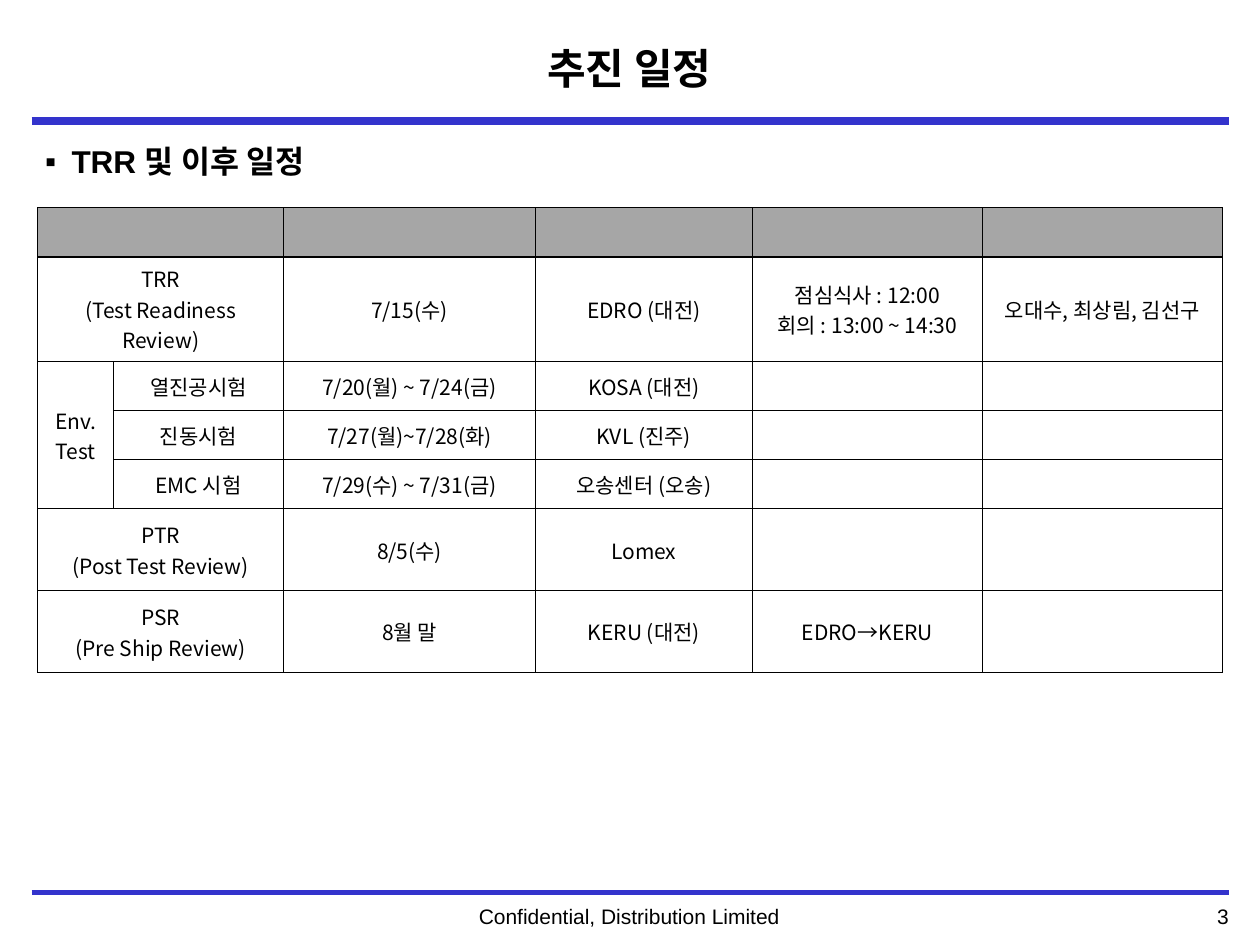
from lxml import etree
from pptx import Presentation
from pptx import util as u
from pptx.dml.color import RGBColor
from pptx.enum import shapes, text
from pptx.oxml.ns import qn

BLUE = RGBColor(0x33, 0x33, 0xCC)
BLACK = RGBColor(0, 0, 0)
GREY = RGBColor(0xA6, 0xA6, 0xA6)
KOREAN = "Noto Sans CJK KR"


def style(p, size, font, align, bold=False):
    p.alignment = align
    p.font.size = u.Pt(size)
    p.font.bold = bold
    p.font.color.rgb = BLACK
    p.font.name = font
    ea = etree.SubElement(p.font._element, qn("a:ea"))
    ea.set("typeface", KOREAN)


def add_text(s, box, words, size, font, align, bold=False):
    tf = s.shapes.add_textbox(*map(u.Inches, box)).text_frame
    tf.word_wrap = True
    p = tf.paragraphs[0]
    p.text = words
    style(p, size, font, align, bold)
    return tf


prs = Presentation()
prs.slide_width = u.Inches(10)
prs.slide_height = u.Inches(7.5)
s = prs.slides.add_slide(prs.slide_layouts[6])

for y, width in [(7.09, 2), (7.08, 2), (0.96, 4.5)]:
    sp = s.shapes.add_connector(shapes.MSO_CONNECTOR.STRAIGHT, u.Inches(0.25),
                                u.Inches(y), u.Inches(9.75), u.Inches(y))
    sp.line.color.rgb = BLUE
    sp.line.width = u.Pt(width)
    etree.SubElement(sp._element.spPr, qn("a:effectLst"))

LEFT, CENTER, RIGHT = text.PP_ALIGN.LEFT, text.PP_ALIGN.CENTER, text.PP_ALIGN.RIGHT
add_text(s, (8.23, 7.12, 1.62, 0.3), "3", 12, "Arial", RIGHT)
add_text(s, (2.45, 7.12, 5.09, 0.3), "Confidential, Distribution Limited", 12, "Arial", CENTER)
tf = add_text(s, (1.33, 0.15, 7.33, 0.77), "추진 일정", 24, KOREAN, CENTER, True)
tf.vertical_anchor = text.MSO_ANCHOR.MIDDLE

tf = add_text(s, (0.26, 1.08, 9.74, 5.68), "TRR 및 이후 일정", 18, "Arial", LEFT, True)
p = tf.paragraphs[0]
p.space_before = u.Pt(3.6)
pPr = p._p.get_or_add_pPr()
pPr.set("marL", str(u.Inches(0.21)))
pPr.set("indent", str(-u.Inches(0.21)))
defaults = pPr.find(qn("a:defRPr"))
defaults.addprevious(etree.Element(qn("a:buFont"), typeface="Arial"))
defaults.addprevious(etree.Element(qn("a:buChar"), char="▪"))

rows = [
    ["", "", "", "", "", ""],
    ["TRR\n(Test Readiness Review)", "", "7/15(수)", "EDRO (대전)",
     "점심식사 : 12:00\n회의 : 13:00 ~ 14:30", "오대수, 최상림, 김선구"],
    ["Env. Test", "열진공시험", "7/20(월) ~ 7/24(금)", "KOSA (대전)", "", ""],
    ["", "진동시험", "7/27(월)~7/28(화)", "KVL (진주)", "", ""],
    ["", "EMC 시험", "7/29(수) ~ 7/31(금)", "오송센터 (오송)", "", ""],
    ["PTR\n(Post Test Review)", "", "8/5(수)", "Lomex", "", ""],
    ["PSR\n(Pre Ship Review)", "", "8월 말", "KERU (대전)", "EDRO→KERU", ""],
]
widths = [0.6, 1.35, 2, 1.72, 1.83, 1.9]
heights = [0.39, 0.83, 0.39, 0.39, 0.39, 0.65, 0.65]

table = s.shapes.add_table(len(rows), len(widths), u.Inches(0.3), u.Inches(1.65),
                           u.Inches(sum(widths)), u.Inches(sum(heights))).table
table.first_row = False
table.horz_banding = False
for col, width in zip(table.columns, widths):
    col.width = u.Inches(width)
for row, height in zip(table.rows, heights):
    row.height = u.Inches(height)

for i, row in enumerate(rows):
    for j, words in enumerate(row):
        cell = table.cell(i, j)
        cell.text = words
        cell.vertical_anchor = text.MSO_ANCHOR.MIDDLE
        for p in cell.text_frame.paragraphs:
            style(p, 12, KOREAN, CENTER)
        tcPr = cell._tc.get_or_add_tcPr()
        for side in ("lnL", "lnR", "lnT", "lnB"):
            ln = etree.SubElement(tcPr, qn("a:" + side), w=str(u.Pt(0.75)))
            fill = etree.SubElement(ln, qn("a:solidFill"))
            etree.SubElement(fill, qn("a:srgbClr"), val=str(BLACK))
        if i == 0:
            cell.fill.solid()
            cell.fill.fore_color.rgb = GREY
        else:
            cell.fill.background()

for i in (0, 1, 5, 6):
    table.cell(i, 0).merge(table.cell(i, 1))
table.cell(2, 0).merge(table.cell(4, 0))

prs.save("out.pptx")
